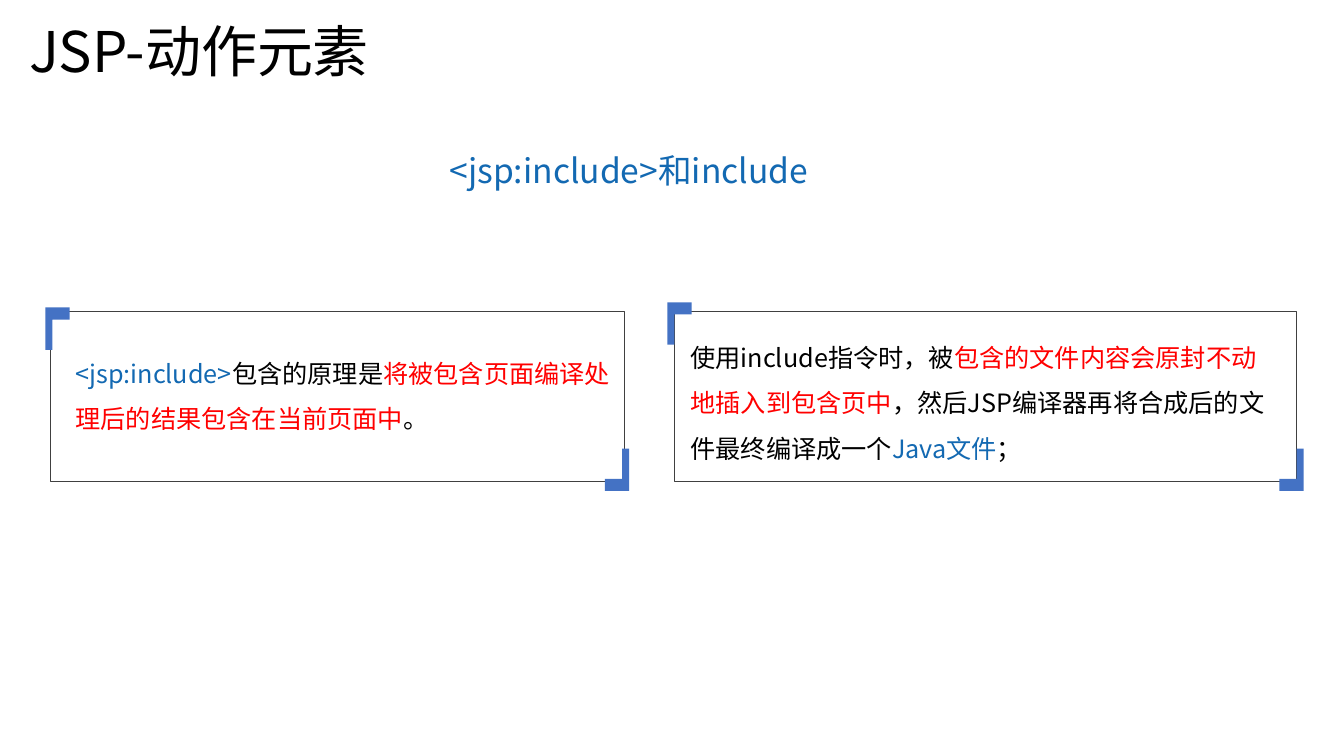
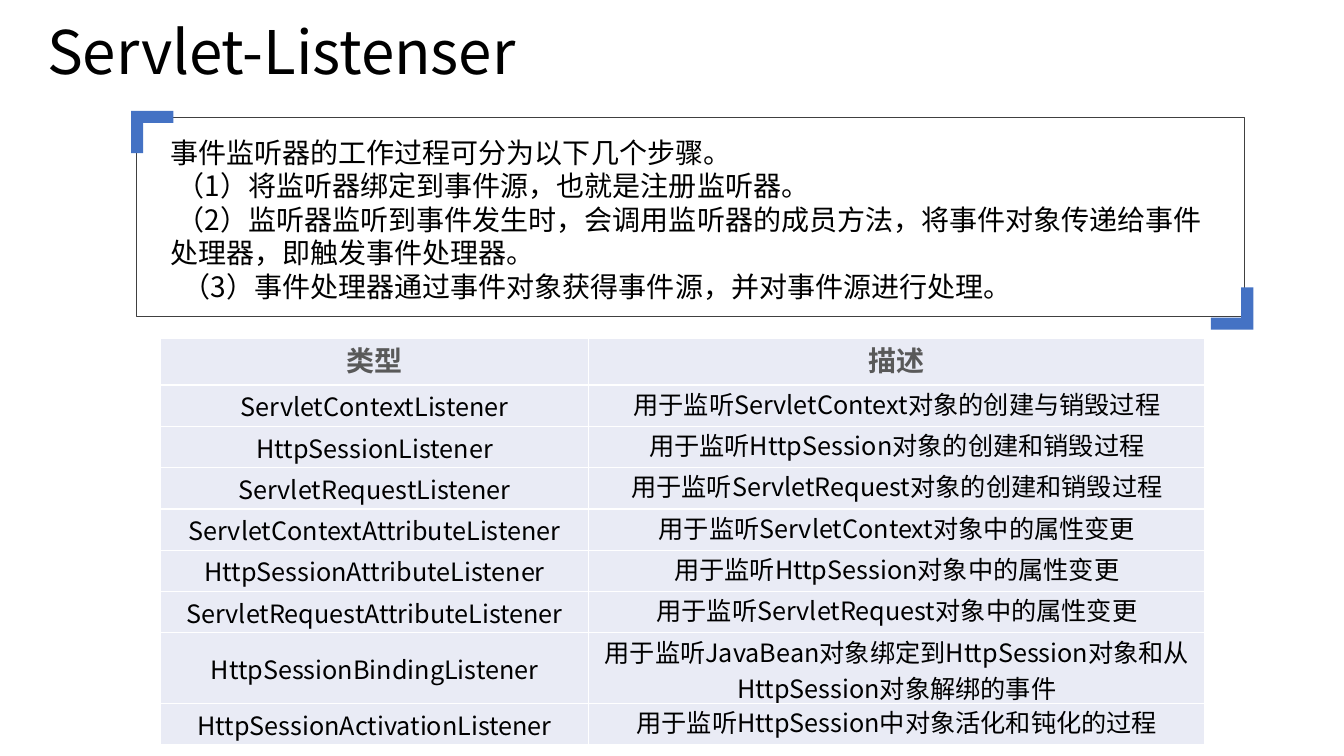
from pptx import Presentation
from pptx.dml.color import RGBColor
from pptx.enum.shapes import MSO_SHAPE
from pptx.enum.text import MSO_ANCHOR, PP_ALIGN
from pptx.oxml.ns import qn
from pptx.util import Inches, Pt
from lxml import etree

FONT = "Noto Sans CJK SC"
BLACK, GREY, RED, BLUE = "000000", "595959", "FF0000", "1369B2"
FRAME_LINE, CORNER_FILL, CELL_FILL = "404040", "4472C4", "E9EBF5"


def write(paragraph, pieces, size, bold=False):
    """Fill a paragraph with (text, colour) runs in the deck's font."""
    for text, colour in pieces:
        run = paragraph.add_run()
        run.text = text
        run.font.size = Pt(size)
        run.font.bold = bold
        run.font.name = FONT
        run.font.color.rgb = RGBColor.from_string(colour)
        east_asian = etree.SubElement(run.font._element, qn("a:ea"))
        east_asian.set("typeface", FONT)


def add_text(slide, box, paragraphs, size, spacing, align=PP_ALIGN.LEFT, anchor=MSO_ANCHOR.TOP):
    shape = slide.shapes.add_textbox(*map(Inches, box))
    text_frame = shape.text_frame
    text_frame.word_wrap = True
    text_frame.vertical_anchor = anchor
    for number, pieces in enumerate(paragraphs):
        paragraph = text_frame.add_paragraph() if number else text_frame.paragraphs[0]
        paragraph.alignment = align
        paragraph.line_spacing = spacing
        write(paragraph, pieces, size)
    return shape


presentation = Presentation()
presentation.slide_width = Inches(13.33)
presentation.slide_height = Inches(7.5)
blank = presentation.slide_layouts[6]
action_slide = presentation.slides.add_slide(blank)
listener_slide = presentation.slides.add_slide(blank)

# Titles
for slide, title, box, size in [
    (action_slide, "JSP-动作元素", (0.19, 0.04, 11.7, 0.99), 40),
    (listener_slide, "Servlet-Listenser", (0.37, 0.16, 5.69, 0.78), 42.9),
]:
    add_text(slide, box, [[(title, BLACK)]], size, 0.9, anchor=MSO_ANCHOR.MIDDLE)

# Body text
add_text(action_slide, (4.36, 1.44, 3.91, 0.5),
         [[("<jsp:include>和include", BLUE)]], 24, Pt(28.6))
add_text(action_slide, (0.65, 3.35, 5.5, 1.16), [[
    ("<jsp:include>", BLUE),
    ("包含的原理是", BLACK),
    ("将被包含页面编译处理后的结果包含在当前页面中", RED),
    ("。", BLACK),
]], 18, Pt(32.5), PP_ALIGN.JUSTIFY)
add_text(action_slide, (6.75, 3.19, 6.06, 1.58), [[
    ("使用include指令时，被", BLACK),
    ("包含的文件内容会原封不动地插入到包含页中", RED),
    ("，然后JSP编译器再将合成后的文件最终编译成一个", BLACK),
    ("Java文件", BLUE),
    ("；", BLACK),
]], 18, Pt(32.5))
steps = add_text(listener_slide, (1.59, 1.29, 10.51, 1.71), [[(line, BLACK)] for line in (
    "事件监听器的工作过程可分为以下几个步骤。",
    " （1）将监听器绑定到事件源，也就是注册监听器。",
    " （2）监听器监听到事件发生时，会调用监听器的成员方法，将事件对象传递给事件处理器，即触发事件处理器。",
    " （3）事件处理器通过事件对象获得事件源，并对事件源进行处理。",
)], 20, Pt(24))
last_step = steps.text_frame.paragraphs[-1]
last_step._p.get_or_add_pPr().set("indent", str(Inches(0.06)))

# Frames: outline, top-left of the first corner, bottom-right of the second, corner width, stem
CORNER_HEIGHT, CORNER_BAR = 0.42, 0.12
for slide, outline, (left, top), (right, bottom), width, stem in [
    (action_slide, (0.5, 3.09, 5.69, 1.68), (0.45, 3.05), (6.24, 4.87), 0.24, 0.07),
    (action_slide, (6.69, 3.09, 6.17, 1.68), (6.62, 3), (12.93, 4.87), 0.24, 0.07),
    (listener_slide, (1.35, 1.16, 10.99, 1.98), (1.3, 1.1), (12.43, 3.27), 0.42, 0.12),
]:
    frame = slide.shapes.add_shape(MSO_SHAPE.ROUNDED_RECTANGLE, *map(Inches, outline))
    frame.adjustments[0] = 0
    frame.shadow.inherit = False
    frame.fill.background()
    frame.line.color.rgb = RGBColor.from_string(FRAME_LINE)
    frame.line.width = Pt(0.25)

    for x, y, rotation in [(left, top, 0), (right - width, bottom - CORNER_HEIGHT, 180)]:
        points = [(width, 0), (width, CORNER_BAR), (stem, CORNER_BAR),
                  (stem, CORNER_HEIGHT), (0, CORNER_HEIGHT)]
        builder = slide.shapes.build_freeform(Inches(x), Inches(y))
        builder.add_line_segments([(Inches(x + dx), Inches(y + dy)) for dx, dy in points])
        corner = builder.convert_to_shape()
        corner.rotation = rotation
        corner.shadow.inherit = False
        corner.fill.solid()
        corner.fill.fore_color.rgb = RGBColor.from_string(CORNER_FILL)
        corner.line.fill.background()

# Listener table
rows = [
    ("类型", "描述"),
    ("ServletContextListener", "用于监听ServletContext对象的创建与销毁过程"),
    ("HttpSessionListener", "用于监听HttpSession对象的创建和销毁过程"),
    ("ServletRequestListener", "用于监听ServletRequest对象的创建和销毁过程"),
    ("ServletContextAttributeListener", "用于监听ServletContext对象中的属性变更"),
    ("HttpSessionAttributeListener", "用于监听HttpSession对象中的属性变更"),
    ("ServletRequestAttributeListener", "用于监听ServletRequest对象中的属性变更"),
    ("HttpSessionBindingListener", "用于监听JavaBean对象绑定到HttpSession对象和从HttpSession对象解绑的事件"),
    ("HttpSessionActivationListener", "用于监听HttpSession中对象活化和钝化的过程"),
]
row_heights = [0.46] + [0.41] * 6 + [0.7, 0.41]
table = listener_slide.shapes.add_table(
    len(rows), 2, Inches(1.59), Inches(3.36), Inches(10.36), Inches(sum(row_heights))).table
table.first_row = False
table.horz_banding = False
for column, width in zip(table.columns, (4.25, 6.11)):
    column.width = Inches(width)
for row_number, (texts, height) in enumerate(zip(rows, row_heights)):
    table.rows[row_number].height = Inches(height)
    header = row_number == 0
    for column_number, text in enumerate(texts):
        cell = table.cell(row_number, column_number)
        cell.fill.solid()
        cell.fill.fore_color.rgb = RGBColor.from_string(CELL_FILL)
        cell.margin_left = cell.margin_right = Inches(0.07)
        cell.margin_top = cell.margin_bottom = 0
        centred = column_number == 0 and not header
        cell.vertical_anchor = MSO_ANCHOR.MIDDLE if centred else MSO_ANCHOR.TOP
        paragraph = cell.text_frame.paragraphs[0]
        paragraph.alignment = PP_ALIGN.CENTER
        write(paragraph, [(text, GREY if header else BLACK)], 20 if header else 18, header)

presentation.save("out.pptx")
